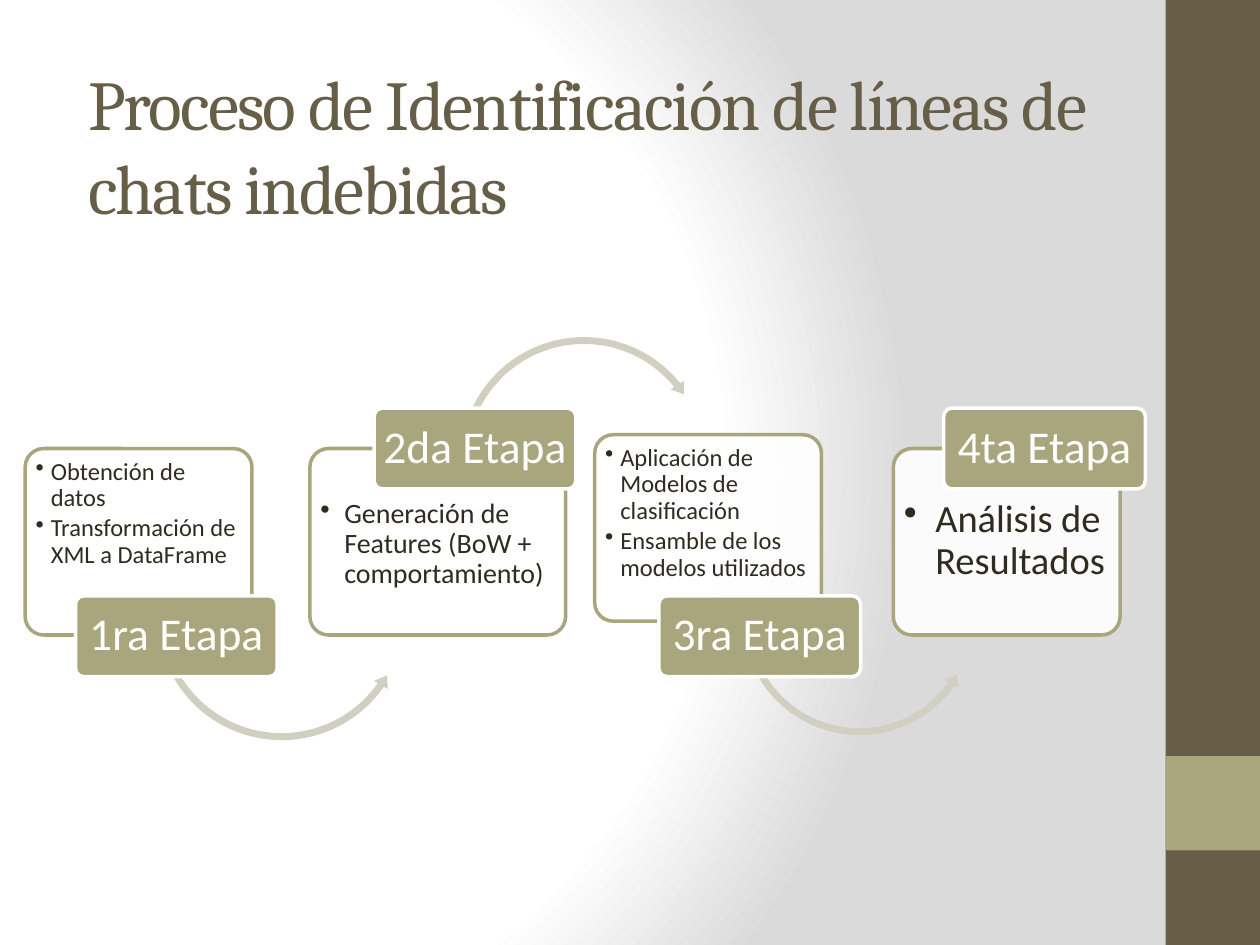
from lxml import etree
from pptx import Presentation
from pptx.dml.color import RGBColor
from pptx.enum.shapes import MSO_SHAPE
from pptx.enum.text import MSO_ANCHOR, MSO_AUTO_SIZE, PP_ALIGN
from pptx.oxml import parse_xml
from pptx.oxml.ns import nsdecls, qn
from pptx.util import Inches, Pt

RECTANGLE = MSO_SHAPE.RECTANGLE
ROUNDED = MSO_SHAPE.ROUNDED_RECTANGLE
ARC_OVER = MSO_SHAPE.CIRCULAR_ARROW
ARC_UNDER = MSO_SHAPE.LEFT_CIRCULAR_ARROW
TOP, MIDDLE, BOTTOM = MSO_ANCHOR.TOP, MSO_ANCHOR.MIDDLE, MSO_ANCHOR.BOTTOM
LEFT, CENTER = PP_ALIGN.LEFT, PP_ALIGN.CENTER
NO_AUTOFIT = MSO_AUTO_SIZE.NONE

COLORS = {
    "white": "FFFFFF",
    "gray": "DADADA",
    "brown": "675E47",
    "olive": "A9A57C",
    "arrow": "D1CFBF",
    "ink": "2F2B20",
}
CARD_HEIGHT = 1.48
LABEL_SIZE = (1.6, 0.64)


class StageSlide:
    heading_font = "Cambria"
    body_font = "Calibri"

    def __init__(self, presentation):
        self.slide = presentation.slides.add_slide(presentation.slide_layouts[5])

    def color(self, name):
        return RGBColor.from_string(COLORS[name])

    def background(self, stops):
        self.slide.background.fill.solid()
        solid = self.slide.element.find(".//" + qn("p:bgPr")).find(qn("a:solidFill"))
        stop_list = "".join(
            f'<a:gs pos="{position * 1000}"><a:srgbClr val="{COLORS[name]}"/></a:gs>'
            for position, name in stops
        )
        gradient = parse_xml(
            f'<a:gradFill {nsdecls("a")} rotWithShape="1"><a:gsLst>{stop_list}</a:gsLst>'
            '<a:path path="circle"><a:fillToRect l="20000" t="50000" r="100000" b="50000"/>'
            "</a:path></a:gradFill>"
        )
        solid.getparent().replace(solid, gradient)

    def shape(self, kind, box, fill, line=None, adjustments=()):
        shape = self.slide.shapes.add_shape(kind, *map(Inches, box))
        shape.shadow.inherit = False
        shape.fill.solid()
        shape.fill.fore_color.rgb = self.color(fill)
        if line:
            shape.line.color.rgb = self.color(line)
            shape.line.width = Pt(2)
        else:
            shape.line.fill.background()
        for index, value in enumerate(adjustments):
            shape.adjustments[index] = value
        return shape

    def frame(self, shape, anchor, insets):
        left, top, right, bottom = map(Inches, insets)
        values = {
            "word_wrap": True,
            "auto_size": NO_AUTOFIT,
            "vertical_anchor": anchor,
            "margin_left": left,
            "margin_top": top,
            "margin_right": right,
            "margin_bottom": bottom,
        }
        for name, value in values.items():
            setattr(shape.text_frame, name, value)

    def add_text(self, paragraph, text, size, color, font, **formats):
        for name, value in formats.items():
            setattr(paragraph, name, value)
        run = paragraph.add_run()
        run.text = text
        values = {"size": Pt(size), "name": font}
        for name, value in values.items():
            setattr(run.font, name, value)
        run.font.color.rgb = self.color(color)

    def title(self, text, box):
        title = self.slide.shapes.title
        for name, value in zip(("left", "top", "width", "height"), box):
            setattr(title, name, Inches(value))
        self.frame(title, BOTTOM, (0.1, 0.05, 0.1, 0.05))
        paragraph = title.text_frame.paragraphs[0]
        self.add_text(paragraph, text, 40, "brown", self.heading_font, alignment=LEFT)
        title.element.find(".//" + qn("a:rPr")).set("spc", "-100")

    def card(self, left, top, width, items, size, indent, text_top):
        card = self.shape(ROUNDED, (left, top, width, CARD_HEIGHT), "white", "olive", [0.1])
        color = card.element.spPr.find(qn("a:solidFill"))[0]
        etree.SubElement(color, qn("a:alpha")).set("val", "90000")
        self.frame(card, TOP, (0.04, text_top, 0.04, 0.04))
        for index, item in enumerate(items):
            text_frame = card.text_frame
            paragraph = text_frame.add_paragraph() if index else text_frame.paragraphs[0]
            self.add_text(paragraph, item, size, "ink", self.body_font,
                          alignment=LEFT, line_spacing=0.9, space_after=Pt(size * 0.15))
            properties = paragraph._p.get_or_add_pPr()
            properties.set("marL", str(Inches(indent)))
            properties.set("indent", str(-Inches(indent)))
            etree.SubElement(properties, qn("a:buChar")).set("char", "•")

    def label(self, left, top, text):
        label = self.shape(ROUNDED, (left, top, *LABEL_SIZE), "olive", "white", [0.1])
        self.frame(label, MIDDLE, (0.05, 0.04, 0.05, 0.04))
        self.add_text(label.text_frame.paragraphs[0], text, 26, "white", self.body_font,
                      alignment=CENTER, line_spacing=0.9)

    def arrow(self, kind, left, top, size, adjustments):
        self.shape(kind, (left, top, size, size), "arrow", adjustments=adjustments)


LOW = {"label_top": 4.73, "text_top": 0.04}
HIGH = {"label_top": 3.24, "text_top": 0.36}
STAGES = [
    {"name": "1ra Etapa", "card": (0.2, 3.56, 1.8), "label_left": 0.6, "side": LOW,
     "items": ["Obtención de datos", "Transformación de XML a DataFrame"],
     "size": 14, "indent": 0.12,
     "arrow": (ARC_UNDER, 1.21, 3.86, 2.05, (0.027, 3.227, 20.982, 90.245, 0.031))},
    {"name": "2da Etapa", "card": (2.46, 3.56, 2.03), "label_left": 2.97, "side": HIGH,
     "items": ["Generación de Features (BoW + comportamiento)"],
     "size": 16, "indent": 0.19,
     "arrow": (ARC_OVER, 3.62, 2.64, 2.03, (0.027, 3.262, 192.646, 123.418, 0.031))},
    {"name": "3ra Etapa", "card": (4.72, 3.45, 1.8), "label_left": 5.23, "side": LOW,
     "items": ["Aplicación de Modelos de clasificación", "Ensamble de los modelos utilizados"],
     "size": 14, "indent": 0.12,
     "arrow": (ARC_UNDER, 5.86, 3.95, 1.92, (0.028, 3.46, 21.215, 90.245, 0.033))},
    {"name": "4ta Etapa", "card": (7.09, 3.56, 1.8), "label_left": 7.49, "side": HIGH,
     "items": ["Análisis de Resultados"], "size": 22, "indent": 0.25, "arrow": None},
]

presentation = Presentation()
presentation.slide_width = Inches(10)
presentation.slide_height = Inches(7.5)

page = StageSlide(presentation)
page.background([(0, "white"), (75, "white"), (100, "gray")])
page.shape(RECTANGLE, (9.25, 0, 0.75, 7.5), "brown")
page.shape(RECTANGLE, (9.25, 6, 0.75, 0.75), "olive")
page.title("Proceso de Identificación de líneas de chats indebidas", (0.6, 0.36, 8.33, 1.5))

for stage in STAGES:
    side = stage["side"]
    page.card(*stage["card"], stage["items"], stage["size"], stage["indent"], side["text_top"])
    if stage["arrow"]:
        page.arrow(*stage["arrow"])
    page.label(stage["label_left"], side["label_top"], stage["name"])

presentation.save("out.pptx")
